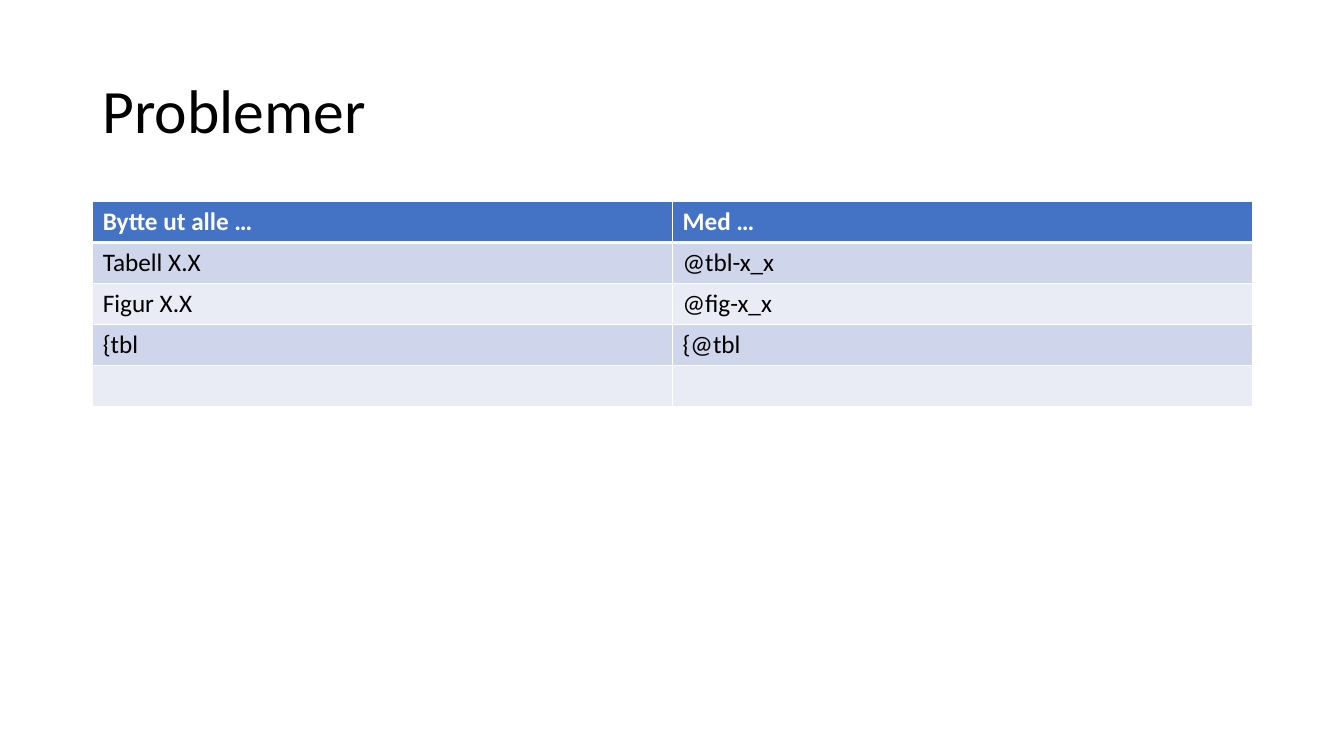
from dataclasses import dataclass

from lxml.etree import SubElement
from pptx import Presentation
from pptx.dml.color import RGBColor
from pptx.enum.text import MSO_ANCHOR
from pptx.oxml.ns import qn
from pptx.util import Inches, Pt


@dataclass(frozen=True)
class Theme:
    font: str = "Calibri"
    title_size: int = 44
    body_size: int = 18
    ink: str = "000000"
    white: str = "FFFFFF"
    header: str = "4472C4"
    bands: tuple = ("CFD5EA", "E9EBF5")
    rule: int = 1
    header_rule: int = 3


class SlideBuilder:
    def __init__(self, slide, theme):
        self.slide = slide
        self.theme = theme

    def add_run(self, paragraph, text, size, color, bold=False):
        run = paragraph.add_run()
        run.text = text
        run.font.name = self.theme.font
        run.font.size = Pt(size)
        run.font.bold = bold
        run.font.color.rgb = RGBColor.from_string(color)

    def title(self, text, left, top, width, height):
        heading = self.slide.shapes.add_textbox(
            Inches(left), Inches(top), Inches(width), Inches(height)
        ).text_frame
        heading.word_wrap = True
        heading.vertical_anchor = MSO_ANCHOR.MIDDLE
        paragraph = heading.paragraphs[0]
        paragraph.line_spacing = 0.9
        self.add_run(paragraph, text, self.theme.title_size, self.theme.ink)

    def border(self, cell, side, width):
        properties = cell._tc.get_or_add_tcPr()
        line = SubElement(properties, qn(f"a:ln{side}"), w=str(Pt(width)))
        fill = SubElement(line, qn("a:solidFill"))
        SubElement(fill, qn("a:srgbClr"), val=self.theme.white)

    def cell(self, cell, text, row):
        theme = self.theme
        is_header = row == 0
        rules = dict.fromkeys("LRTB", theme.rule)
        if is_header:
            rules["B"] = theme.header_rule
        elif row == 1:
            rules["T"] = theme.header_rule
        for side, width in rules.items():
            self.border(cell, side, width)
        fill = theme.header if is_header else theme.bands[(row - 1) % 2]
        cell.fill.solid()
        cell.fill.fore_color.rgb = RGBColor.from_string(fill)
        if text:
            color = theme.white if is_header else theme.ink
            self.add_run(cell.text_frame.paragraphs[0], text,
                         theme.body_size, color, is_header)

    def table(self, rows, left, top, width, height):
        grid = self.slide.shapes.add_table(
            len(rows), len(rows[0]),
            Inches(left), Inches(top), Inches(width), Inches(height)
        ).table
        for row, texts in enumerate(rows):
            for column, text in enumerate(texts):
                self.cell(grid.cell(row, column), text, row)


REPLACEMENTS = [
    ("Bytte ut alle …", "Med …"),
    ("Tabell X.X", "@tbl-x_x"),
    ("Figur X.X", "@fig-x_x"),
    ("{tbl", "{@tbl"),
    ("", ""),
]


def main():
    deck = Presentation()
    deck.slide_width = Inches(13.33)
    deck.slide_height = Inches(7.5)
    problems = SlideBuilder(deck.slides.add_slide(deck.slide_layouts[6]), Theme())
    problems.title("Problemer", 0.92, 0.4, 11.5, 1.45)
    problems.table(REPLACEMENTS, 0.92, 2, 11.5, 2.03)
    deck.save("out.pptx")


if __name__ == "__main__":
    main()
